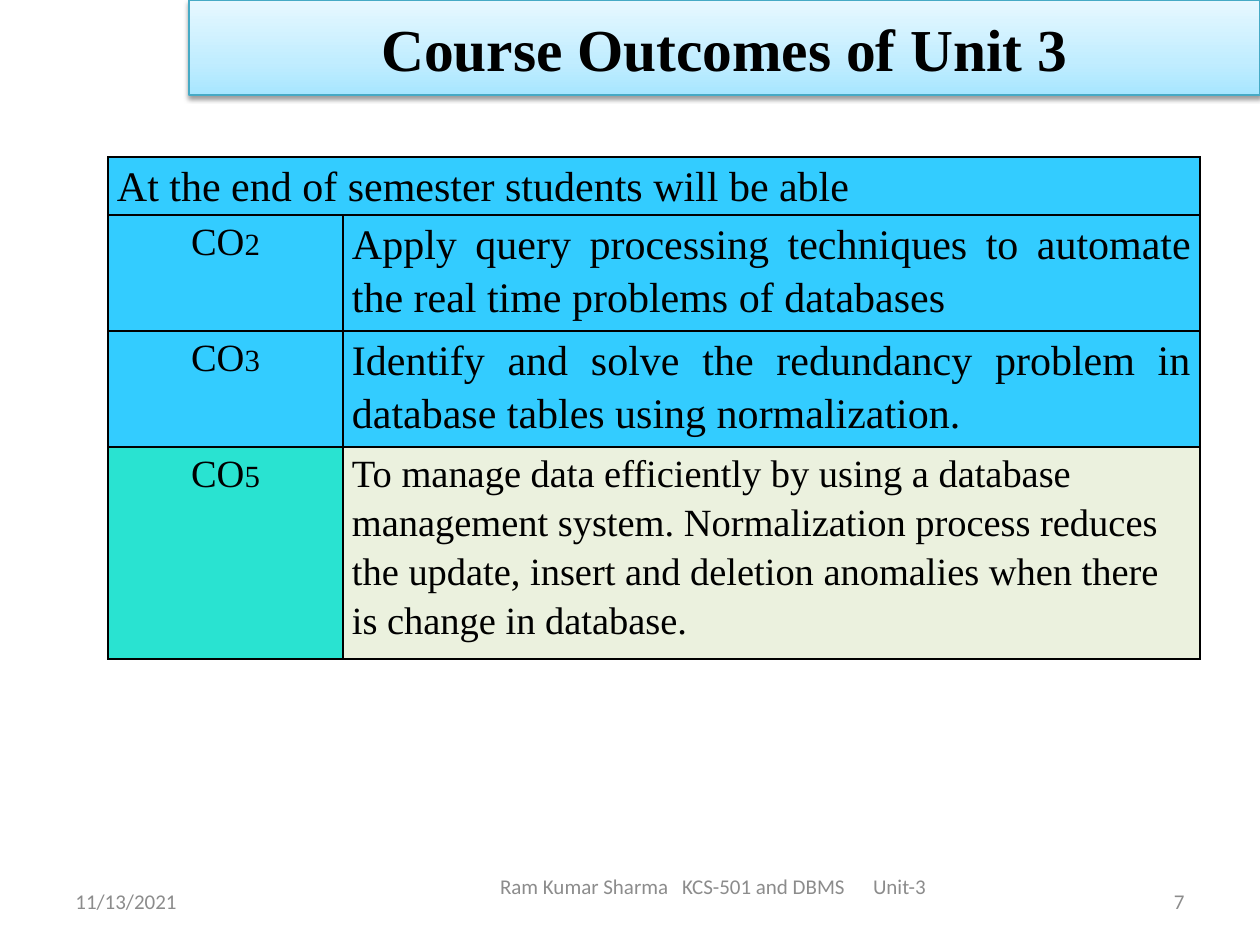
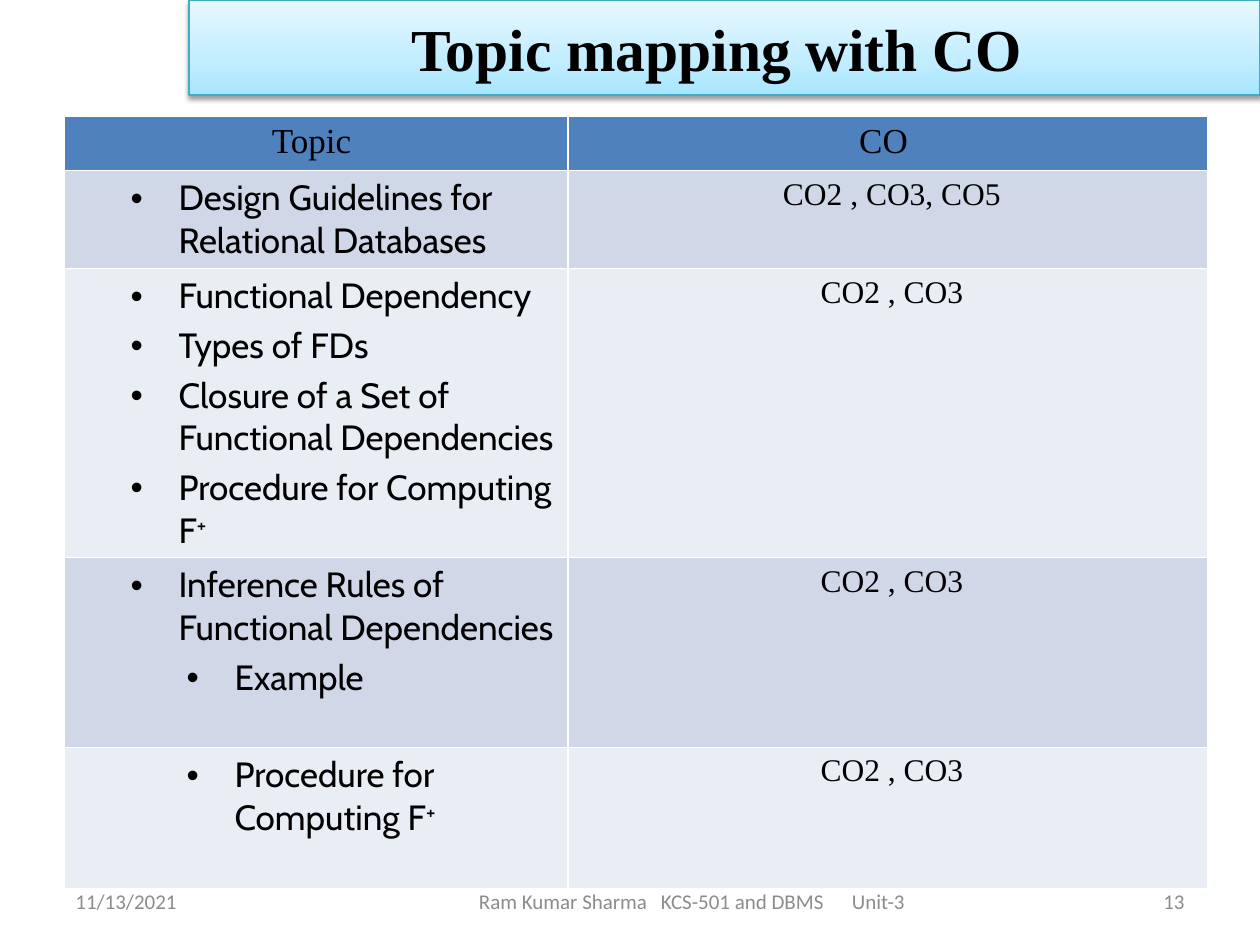
from dataclasses import dataclass

from lxml import etree
from pptx import Presentation
from pptx import util as u
from pptx.dml.color import RGBColor
from pptx.enum import text
from pptx.oxml import ns

EMU_PER_PX = 914400 / 126
TITLE_ONLY_LAYOUT = 5

BLACK = RGBColor(0x00, 0x00, 0x00)
WHITE = RGBColor(0xFF, 0xFF, 0xFF)
FOOTER_GREY = RGBColor(0x8C, 0x8C, 0x8C)
BAND_EDGE = RGBColor(0x46, 0xAA, 0xC5)
BAND_STOPS = (
    (0, RGBColor(0xA7, 0xE6, 0xFF)),
    (35, RGBColor(0xC1, 0xED, 0xFF)),
    (100, RGBColor(0xE7, 0xF8, 0xFF)),
)
SKY = RGBColor(0x33, 0xCC, 0xFF)
TURQUOISE = RGBColor(0x29, 0xE3, 0xD1)
PALE_GREEN = RGBColor(0xEB, 0xF1, 0xDE)
HEADER_BLUE = RGBColor(0x4F, 0x81, 0xBD)
ROW_BLUES = (RGBColor(0xD0, 0xD8, 0xE8), RGBColor(0xE9, 0xED, 0xF4))

SERIF = "Times New Roman"
TOPIC_FONT = "Cabin"
FOOTER_FONT = "Calibri"

LEFT = text.PP_ALIGN.LEFT
CENTER = text.PP_ALIGN.CENTER
RIGHT = text.PP_ALIGN.RIGHT
JUSTIFY = text.PP_ALIGN.JUSTIFY

FOOTER_TEXT = "Ram Kumar Sharma\tKCS-501 and DBMS\tUnit-3"
FOOTER_TEXT_WIDTH = 426
FOOTER_TABS = (182, 373)
TOPIC_INDENTS = {1: 102, 2: 158}
BULLET_HANGING = 48


@dataclass(frozen=True)
class Box:
    left: int
    top: int
    width: int
    height: int


@dataclass(frozen=True)
class Outcome:
    code: str
    description: str
    height: int
    size: int = 24
    align: text.PP_ALIGN = JUSTIFY
    code_fill: RGBColor = SKY
    description_fill: RGBColor = SKY


@dataclass(frozen=True)
class Topic:
    name: str
    level: int = 1
    superscript: str = ""


@dataclass(frozen=True)
class Mapping:
    topics: tuple[Topic, ...]
    outcomes: str
    height: int


BAND = Box(189, 0, 1071, 95)
DATE_BOX = Box(63, 876, 294, 50)
NUMBER_BOX = Box(903, 876, 294, 50)

OUTCOMES = (
    Outcome("CO2", "Apply query processing techniques to automate the real time "
            "problems of databases", 107),
    Outcome("CO3", "Identify and solve the redundancy problem in database tables "
            "using normalization.", 107),
    Outcome("CO5", "To manage data efficiently by using a database management system. "
            "Normalization process reduces the update, insert and deletion anomalies "
            "when there is change in database.", 195, 22, LEFT, TURQUOISE, PALE_GREEN),
)

MAPPINGS = (
    Mapping((Topic("Design Guidelines for Relational Databases"),),
            " CO2 , CO3, CO5", 98),
    Mapping((Topic("Functional Dependency"),
             Topic("Types of FDs"),
             Topic("Closure of a Set of Functional Dependencies"),
             Topic("Procedure for Computing F", superscript="+")),
            " CO2 , CO3", 289),
    Mapping((Topic("Inference Rules of Functional Dependencies"),
             Topic("Example", level=2)),
            " CO2 , CO3", 190),
    Mapping((Topic("Procedure for Computing F", level=2, superscript="+"),),
            " CO2 , CO3", 141),
)


def px(length: float) -> u.Emu:
    return u.Emu(round(length * EMU_PER_PX))


def add_element(parent, tag: str, **attributes):
    element = etree.SubElement(parent, ns.qn(tag))
    for name, value in attributes.items():
        element.set(name, str(value))
    return element


def write(paragraph, content: str, *, font: str = SERIF, size: int = 24,
          color: RGBColor = BLACK, bold: bool = False, align=LEFT,
          line_spacing: float | None = None, small_caps: bool = False,
          superscript: bool = False) -> None:
    """Append one formatted run to the paragraph."""
    paragraph.alignment = align
    if line_spacing:
        paragraph.line_spacing = line_spacing
    run = paragraph.add_run()
    run.text = content
    run.font.name = font
    run.font.size = u.Pt(size)
    run.font.bold = bold
    run.font.color.rgb = color
    properties = run._r.get_or_add_rPr()
    if small_caps:
        properties.set("cap", "small")
    if superscript:
        properties.set("baseline", "30000")


def place(shape, box: Box) -> None:
    shape.left, shape.top = px(box.left), px(box.top)
    shape.width, shape.height = px(box.width), px(box.height)


def add_title_band(slide, title: str) -> None:
    band = slide.shapes.title
    place(band, BAND)
    band.fill.gradient()
    band.fill.gradient_angle = 90
    stops = band._element.spPr.find(".//" + ns.qn("a:gsLst"))
    stops.clear()
    for percent, color in BAND_STOPS:
        stop = add_element(stops, "a:gs", pos=percent * 1000)
        add_element(stop, "a:srgbClr", val=color)
    band.line.color.rgb = BAND_EDGE
    band.line.width = u.Pt(0.75)
    effects = add_element(band._element.spPr, "a:effectLst")
    shadow = add_element(effects, "a:outerShdw", blurRad=u.Pt(3.1), dist=u.Pt(1.6),
                         dir=5400000, rotWithShape=0)
    add_element(add_element(shadow, "a:srgbClr", val=BLACK), "a:alpha", val=38000)
    frame = band.text_frame
    frame.auto_size = text.MSO_AUTO_SIZE.NONE
    frame.vertical_anchor = text.MSO_ANCHOR.MIDDLE
    write(frame.paragraphs[0], title, size=34, bold=True, align=CENTER)


def add_footer_box(slide, box: Box, content: str, align=LEFT):
    shape = slide.shapes.add_textbox(px(box.left), px(box.top),
                                     px(box.width), px(box.height))
    frame = shape.text_frame
    frame.word_wrap = True
    frame.vertical_anchor = text.MSO_ANCHOR.MIDDLE
    write(frame.paragraphs[0], content, font=FOOTER_FONT, size=12,
          color=FOOTER_GREY, align=align)
    return frame


def add_footers(slide, course_box: Box, number: int) -> None:
    add_footer_box(slide, DATE_BOX, "11/13/2021")
    frame = add_footer_box(slide, course_box, FOOTER_TEXT)
    frame.margin_left = px((course_box.width - FOOTER_TEXT_WIDTH) // 2)
    frame.margin_right = 0
    tabs = add_element(frame.paragraphs[0]._p.get_or_add_pPr(), "a:tabLst")
    for position in FOOTER_TABS:
        add_element(tabs, "a:tab", pos=px(position), algn="l")
    add_footer_box(slide, NUMBER_BOX, str(number), RIGHT)


def add_table(slide, left: int, top: int, widths: tuple[int, ...],
              heights: list[int], border: RGBColor):
    """Add an unbanded table with the same thin border round every cell."""
    table = slide.shapes.add_table(len(heights), len(widths), px(left), px(top),
                                   px(sum(widths)), px(sum(heights))).table
    table.first_row = table.horz_banding = False
    for column, width in zip(table.columns, widths):
        column.width = px(width)
    for row, height in zip(table.rows, heights):
        row.height = px(height)
    for cell in table.iter_cells():
        properties = cell._tc.get_or_add_tcPr()
        for side in "LRTB":
            line = add_element(properties, f"a:ln{side}", w=u.Pt(1))
            add_element(add_element(line, "a:solidFill"), "a:srgbClr", val=border)
    return table


def fill_cell(cell, color: RGBColor):
    """Colour the cell and return its first paragraph."""
    cell.fill.solid()
    cell.fill.fore_color.rgb = color
    return cell.text_frame.paragraphs[0]


def write_topics(cell, color: RGBColor, topics: tuple[Topic, ...]) -> None:
    paragraph = fill_cell(cell, color)
    for index, topic in enumerate(topics):
        if index:
            paragraph = cell.text_frame.add_paragraph()
        paragraph.level = topic.level
        properties = paragraph._p.get_or_add_pPr()
        properties.set("marL", str(px(TOPIC_INDENTS[topic.level])))
        properties.set("indent", str(-px(BULLET_HANGING)))
        add_element(properties, "a:buFont", typeface="Arial")
        add_element(properties, "a:buChar", char="•")
        if index:
            paragraph.space_before = u.Pt(4)
        write(paragraph, topic.name, font=TOPIC_FONT, size=20)
        if topic.superscript:
            write(paragraph, topic.superscript, font=TOPIC_FONT, size=20,
                  superscript=True)


def add_slide(presentation, title: str, course_box: Box, number: int):
    slide = presentation.slides.add_slide(presentation.slide_layouts[TITLE_ONLY_LAYOUT])
    add_title_band(slide, title)
    add_footers(slide, course_box, number)
    return slide


def add_outcomes_slide(presentation) -> None:
    slide = add_slide(presentation, "Course Outcomes of Unit 3",
                      Box(388, 861, 651, 50), 7)
    heights = [53] + [outcome.height for outcome in OUTCOMES]
    table = add_table(slide, 108, 157, (235, 857), heights, BLACK)
    for cell in table.iter_cells():
        cell.margin_left = cell.margin_right = px(9)
        cell.margin_top = cell.margin_bottom = 0
    heading = table.cell(0, 0)
    heading.merge(table.cell(0, 1))
    write(fill_cell(heading, SKY), "At the end of semester students will be able",
          line_spacing=1.15)
    for row, outcome in enumerate(OUTCOMES, start=1):
        write(fill_cell(table.cell(row, 0), outcome.code_fill), outcome.code,
              size=22, align=CENTER, line_spacing=1.15, small_caps=True)
        write(fill_cell(table.cell(row, 1), outcome.description_fill),
              outcome.description, size=outcome.size, align=outcome.align,
              line_spacing=1.15)


def add_mapping_slide(presentation) -> None:
    slide = add_slide(presentation, "Topic mapping with CO ",
                      Box(346, 876, 693, 50), 13)
    heights = [51] + [mapping.height for mapping in MAPPINGS]
    table = add_table(slide, 64, 116, (504, 640), heights, WHITE)
    for column, heading in enumerate(("Topic ", "CO ")):
        write(fill_cell(table.cell(0, column), HEADER_BLUE), heading,
              size=20, align=CENTER)
    for row, mapping in enumerate(MAPPINGS, start=1):
        color = ROW_BLUES[(row - 1) % 2]
        write_topics(table.cell(row, 0), color, mapping.topics)
        write(fill_cell(table.cell(row, 1), color), mapping.outcomes,
              size=18, align=CENTER)


def main() -> None:
    presentation = Presentation()
    presentation.slide_width, presentation.slide_height = px(1260), px(945)
    add_outcomes_slide(presentation)
    add_mapping_slide(presentation)
    presentation.save("out.pptx")


if __name__ == "__main__":
    main()
